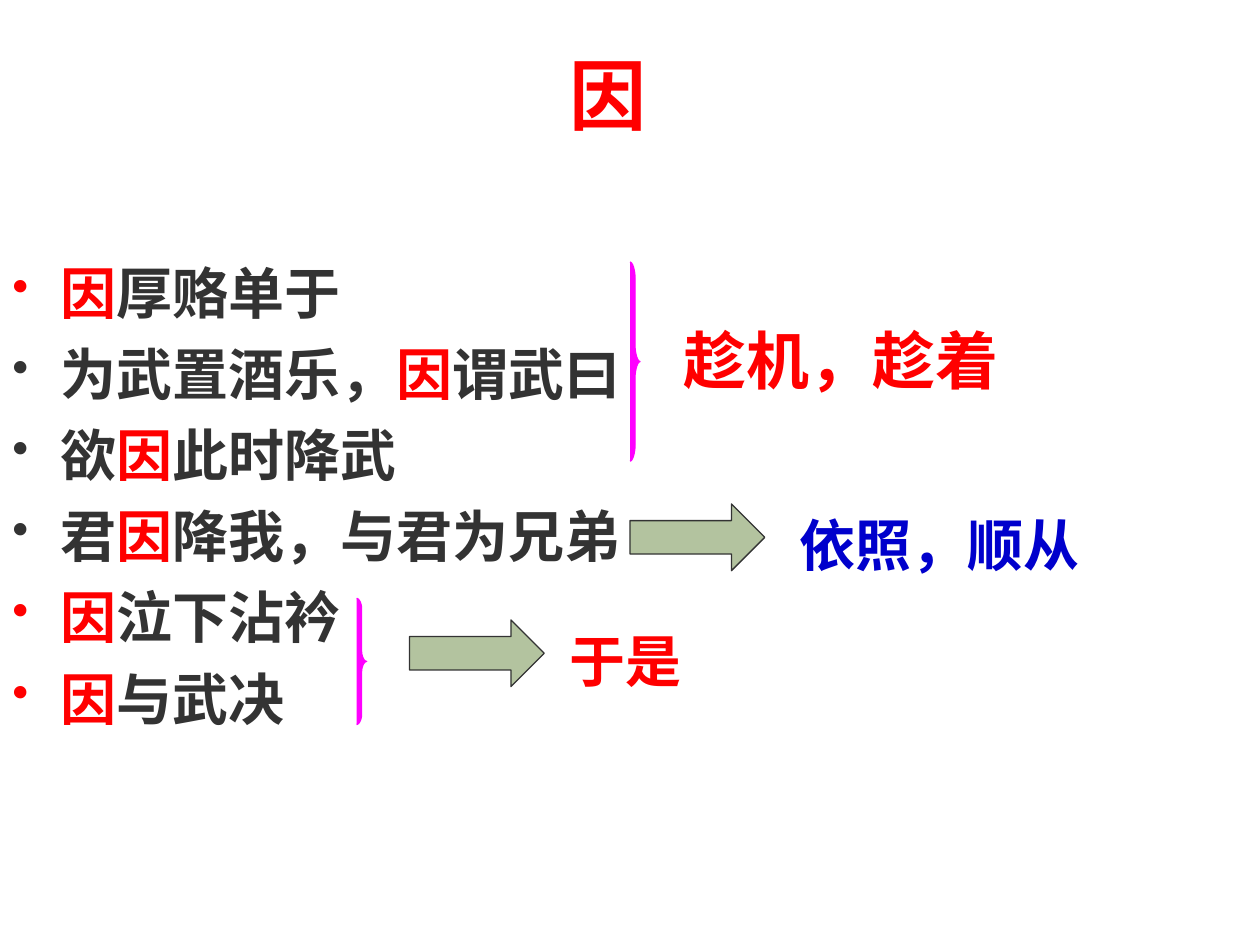
import pptx
import pptx.dml.color
import pptx.enum.shapes
import pptx.enum.text
import pptx.oxml.ns
import pptx.util
from lxml import etree

Inches = pptx.util.Inches
Pt = pptx.util.Pt

COLORS = {
    "red": "FF0000",
    "ink": "333333",
    "blue": "0000CC",
    "magenta": "FF00FF",
    "sage": "B3C39F",
}
KEYWORD = "因"
EXAMPLES = [
    "因厚赂单于",
    "为武置酒乐，因谓武曰",
    "欲因此时降武",
    "君因降我，与君为兄弟",
    "因泣下沾衿",
    "因与武决",
]
MEANINGS = [
    ("趁机，趁着", 5.33, 2.5, 4, 0.7, 36, "red"),
    ("依照，顺从", 6.25, 4, 2.67, 0.64, 32, "blue"),
    ("于是", 4.42, 4.92, 5.25, 0.64, 32, "red"),
]
BRACES = [(5, 2.08, 0.08, 1.58), (2.83, 4.75, 0.08, 1)]
ARROWS = [(5, 4), (3.25, 4.92)]
CURVE_STEPS = 8


def rgb(color):
    return pptx.dml.color.RGBColor.from_string(COLORS[color])


def apply(target, formats):
    for name, value in formats.items():
        setattr(target, name, value)


def add_frame(slide, left, top, width, height, anchor="TOP"):
    box = slide.shapes.add_textbox(*map(Inches, (left, top, width, height)))
    frame = box.text_frame
    apply(frame, {
        "word_wrap": True,
        "vertical_anchor": getattr(pptx.enum.text.MSO_ANCHOR, anchor),
    })
    return frame


def add_run(paragraph, words, size, color):
    run = paragraph.add_run()
    run.text = words
    apply(run.font, {"name": "Times New Roman", "size": Pt(size), "bold": True})
    run.font.color.rgb = rgb(color)


def add_bullet(paragraph, color):
    qn = pptx.oxml.ns.qn
    properties = paragraph._p.get_or_add_pPr()
    apply_indent = {"marL": Inches(0.38), "indent": -Inches(0.38)}
    for name, value in apply_indent.items():
        properties.set(name, str(value))
    tint = etree.SubElement(properties, qn("a:buClr"))
    etree.SubElement(tint, qn("a:srgbClr"), val=COLORS[color])
    etree.SubElement(properties, qn("a:buSzPct"), val="85000")
    etree.SubElement(properties, qn("a:buChar"), char="•")


def add_examples(slide):
    frame = add_frame(slide, 0, 2, 8.5, 4.5)
    for index, sentence in enumerate(EXAMPLES):
        paragraph = frame.add_paragraph() if index else frame.paragraphs[0]
        add_bullet(paragraph, "red" if sentence.startswith(KEYWORD) else "ink")
        if index:
            paragraph.space_before = Pt(8)
        before, keyword, after = sentence.partition(KEYWORD)
        for words, color in ((before, "ink"), (keyword, "red"), (after, "ink")):
            if words:
                add_run(paragraph, words, 32, color)


def paint(shape, fill, line):
    shape.shadow.inherit = False
    shape.fill.solid()
    shape.fill.fore_color.rgb = rgb(fill)
    shape.line.color.rgb = rgb(line)
    shape.line.width = Pt(0.75)


def curve(start, first, second, end):
    points = []
    for step in range(CURVE_STEPS + 1):
        t = step / CURVE_STEPS
        weights = ((1 - t) ** 3, 3 * t * (1 - t) ** 2, 3 * t * t * (1 - t), t ** 3)
        points.append(tuple(
            sum(weight * value for weight, value in zip(weights, axis))
            for axis in zip(start, first, second, end)
        ))
    return points


def add_brace(slide, left, top, width, height):
    upper = curve((0, 0), (0.25, 0), (0.5, 0.04), (0.5, 0.08))
    upper += curve((0.5, 0.42), (0.5, 0.46), (0.75, 0.5), (1, 0.5))
    lower = [(x, 1 - y) for x, y in reversed(upper[:-1])]
    points = [
        (Inches(left + x * width), Inches(top + y * height))
        for x, y in upper + lower
    ]
    builder = slide.shapes.build_freeform(*points[0])
    builder.add_line_segments(points[1:], close=False)
    paint(builder.convert_to_shape(), "magenta", "magenta")


def add_arrow(slide, left, top):
    arrow = slide.shapes.add_shape(
        pptx.enum.shapes.MSO_SHAPE.RIGHT_ARROW,
        *map(Inches, (left, top, 1.07, 0.53)),
    )
    paint(arrow, "sage", "ink")


def main():
    deck = pptx.Presentation()
    apply(deck, {"slide_width": Inches(10), "slide_height": Inches(7.5)})
    slide = deck.slides.add_slide(deck.slide_layouts[6])
    title = add_frame(slide, 4.42, 0.33, 5.42, 0.83, "BOTTOM")
    add_run(title.paragraphs[0], KEYWORD, 44, "red")
    add_examples(slide)
    for brace in BRACES:
        add_brace(slide, *brace)
    for arrow in ARROWS:
        add_arrow(slide, *arrow)
    for words, left, top, width, height, size, color in MEANINGS:
        meaning = add_frame(slide, left, top, width, height)
        add_run(meaning.paragraphs[0], words, size, color)
    deck.save("out.pptx")


if __name__ == "__main__":
    main()
